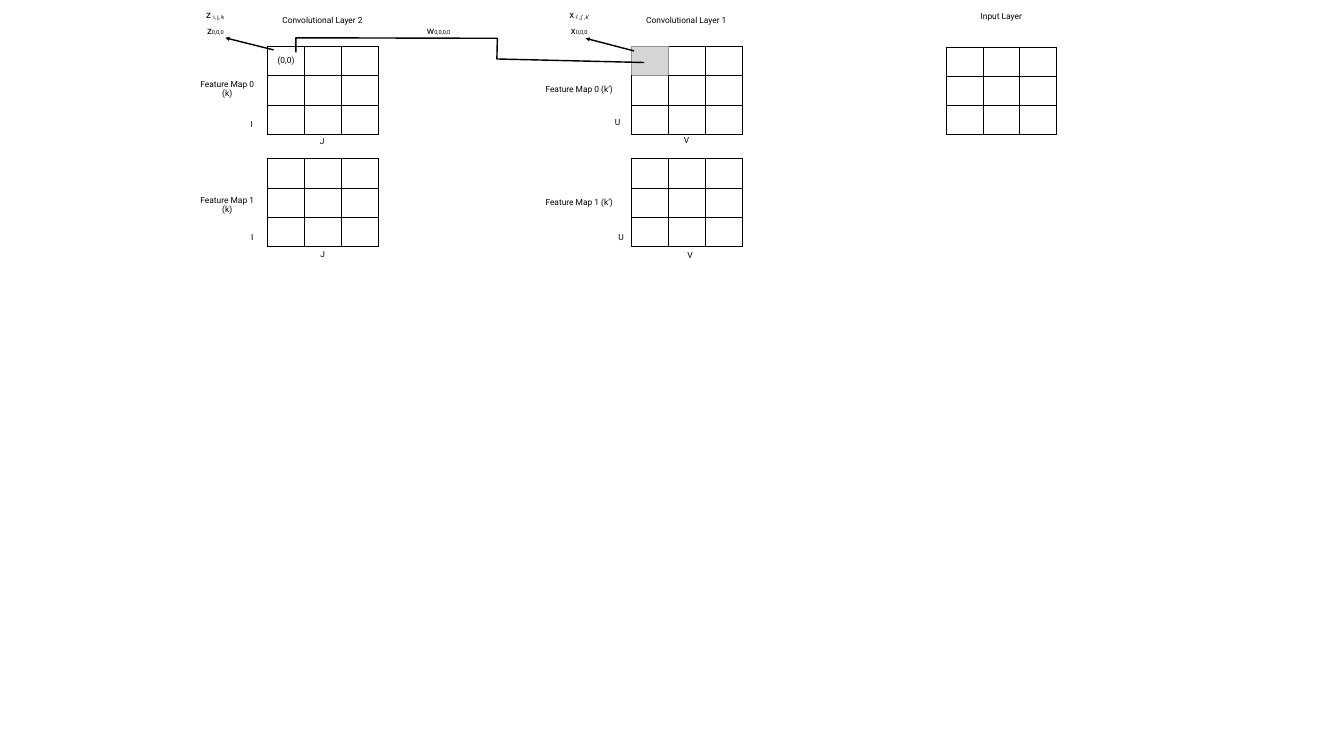
import pptx
import pptx.dml.color
import pptx.enum.shapes
import pptx.enum.text
import pptx.oxml
import pptx.util
from pptx.util import Inches

BLACK = pptx.dml.color.RGBColor(0x00, 0x00, 0x00)
SHADE = pptx.dml.color.RGBColor(0xD5, 0xD5, 0xD5)
SHADE_EDGE = pptx.dml.color.RGBColor(0x92, 0x92, 0x92)
FONT = "Roboto"
GRID_SIZE = 3
GRID_WIDTH, GRID_HEIGHT = 2.2, 1.74
MARGIN = Inches(0.06)
NAMESPACE = 'xmlns:a="http://schemas.openxmlformats.org/drawingml/2006/main"'

# Left, top of each feature map
GRIDS = [(5.31, 0.92), (5.31, 3.15), (12.53, 0.92), (12.53, 3.15), (18.77, 0.93)]
# Text, left, top, width
LABELS = [
    ("Convolutional Layer 2", 5.53, 0.27, 1.74),
    ("Convolutional Layer 1", 12.75, 0.27, 1.74),
    ("Input Layer", 19.39, 0.19, 0.96),
    ("Feature Map 0 (k)", 3.8, 1.63, 1.42),
    ("Feature Map 1 (k)", 3.8, 3.93, 1.42),
    ("Feature Map 0 (k’)", 10.76, 1.63, 1.47),
    ("Feature Map 1 (k’)", 10.76, 3.87, 1.47),
    ("I", 4.91, 2.32, 0.17),
    ("J", 6.29, 2.67, 0.21),
    ("I", 4.92, 4.56, 0.17),
    ("J", 6.3, 4.9, 0.21),
    ("U", 12.13, 2.29, 0.25),
    ("V", 13.51, 2.64, 0.23),
    ("U", 12.2, 4.57, 0.25),
    ("V", 13.58, 4.92, 0.23),
]
# Symbol, subscript, left, top, width
SYMBOLS = [
    ("z ", "i, j, k", 4, 0.14, 0.54),
    ("z", "0,0,0", 4.02, 0.45, 0.51),
    ("x", " i' ,j’ ,k’", 11.18, 0.14, 0.64),
    ("x", "0,0,0", 11.24, 0.45, 0.51),
    ("w", "0,0,0,0", 8.37, 0.45, 0.67),
]
ARROWS = [((5.43, 0.99), (4.47, 0.75)), ((12.58, 1.01), (11.62, 0.76))]
WEIGHT_PATH = [(5.87, 1.04), (5.87, 0.75), (9.87, 0.76), (9.86, 1.17), (12.78, 1.24)]


def write_text(text_frame, text, size=12, subscript=""):
    paragraph = text_frame.paragraphs[0]
    paragraph.alignment = pptx.enum.text.PP_ALIGN.CENTER
    paragraph.line_spacing = 0.9
    for part in filter(None, (text, subscript)):
        run = paragraph.add_run()
        run.text = part
        run.font.name = FONT
        run.font.size = pptx.util.Pt(size)
        run.font.color.rgb = BLACK
    if subscript:
        run.font._element.set("baseline", "-6000")


def add_label(slide, text, left, top, width, height=0.3, **text_format):
    shape = slide.shapes.add_textbox(Inches(left), Inches(top), Inches(width), Inches(height))
    frame = shape.text_frame
    frame.margin_left = frame.margin_right = frame.margin_top = frame.margin_bottom = MARGIN
    frame.vertical_anchor = pptx.enum.text.MSO_ANCHOR.MIDDLE
    frame.word_wrap = False
    frame.auto_size = pptx.enum.text.MSO_AUTO_SIZE.SHAPE_TO_FIT_TEXT
    write_text(frame, text, **text_format)


def set_borders(cell, **side_colors):
    properties = cell._tc.get_or_add_tcPr()
    for index, side in enumerate("LRTB"):
        color = side_colors.get(side, BLACK)
        properties.insert(index, pptx.oxml.parse_xml(
            f'<a:ln{side} {NAMESPACE} w="12700"><a:solidFill><a:srgbClr val="{color}"/>'
            f'</a:solidFill><a:prstDash val="solid"/></a:ln{side}>'))


def add_grid(slide, left, top, first_text="", shaded=False):
    table = slide.shapes.add_table(GRID_SIZE, GRID_SIZE, Inches(left), Inches(top),
                                   Inches(GRID_WIDTH), Inches(GRID_HEIGHT)).table
    table.first_row = table.horz_banding = False
    # Edges that touch the shaded first cell
    edges = {(0, 0): "LRTB", (0, 1): "L", (1, 0): "T"} if shaded else {}
    for row in range(GRID_SIZE):
        for column in range(GRID_SIZE):
            cell = table.cell(row, column)
            cell.margin_left = cell.margin_right = MARGIN
            cell.margin_top = cell.margin_bottom = MARGIN
            cell.vertical_anchor = pptx.enum.text.MSO_ANCHOR.MIDDLE
            cell.fill.background()
            set_borders(cell, **dict.fromkeys(edges.get((row, column), ""), SHADE_EDGE))
    first_cell = table.cell(0, 0)
    if shaded:
        first_cell.fill.solid()
        first_cell.fill.fore_color.rgb = SHADE
    if first_text:
        write_text(first_cell.text_frame, first_text)


def style_line(line):
    line.color.rgb = BLACK
    line.width = pptx.util.Pt(2)


def add_arrow(slide, start, end):
    connector = slide.shapes.add_connector(
        pptx.enum.shapes.MSO_CONNECTOR.STRAIGHT, *map(Inches, start + end))
    style_line(connector.line)
    connector.line._get_or_add_ln().append(
        pptx.oxml.parse_xml(f'<a:tailEnd {NAMESPACE} type="triangle"/>'))
    connector._element.spPr.append(pptx.oxml.parse_xml(f"<a:effectLst {NAMESPACE}/>"))


def add_open_path(slide, points):
    corners = [(Inches(x), Inches(y)) for x, y in points]
    builder = slide.shapes.build_freeform(*corners[0])
    builder.add_line_segments(corners[1:], close=False)
    shape = builder.convert_to_shape()
    shape.shadow.inherit = False
    shape.fill.background()
    style_line(shape.line)


def main():
    presentation = pptx.Presentation()
    presentation.slide_width = Inches(26.67)
    presentation.slide_height = Inches(15)
    slide = presentation.slides.add_slide(presentation.slide_layouts[6])

    # Feature maps; the first of each convolutional layer has a marked cell
    for index, (left, top) in enumerate(GRIDS):
        add_grid(slide, left, top, first_text="(0,0)" if index == 0 else "", shaded=index == 2)

    # Arrows to the cell values and the weight between the two layers
    for start, end in ARROWS:
        add_arrow(slide, start, end)
    add_open_path(slide, WEIGHT_PATH)

    # Titles, map names, axis names and indexed symbols
    for text, left, top, width in LABELS:
        add_label(slide, text, left, top, width)
    for text, subscript, left, top, width in SYMBOLS:
        add_label(slide, text, left, top, width, height=0.33, size=14, subscript=subscript)

    presentation.save("out.pptx")


if __name__ == "__main__":
    main()
